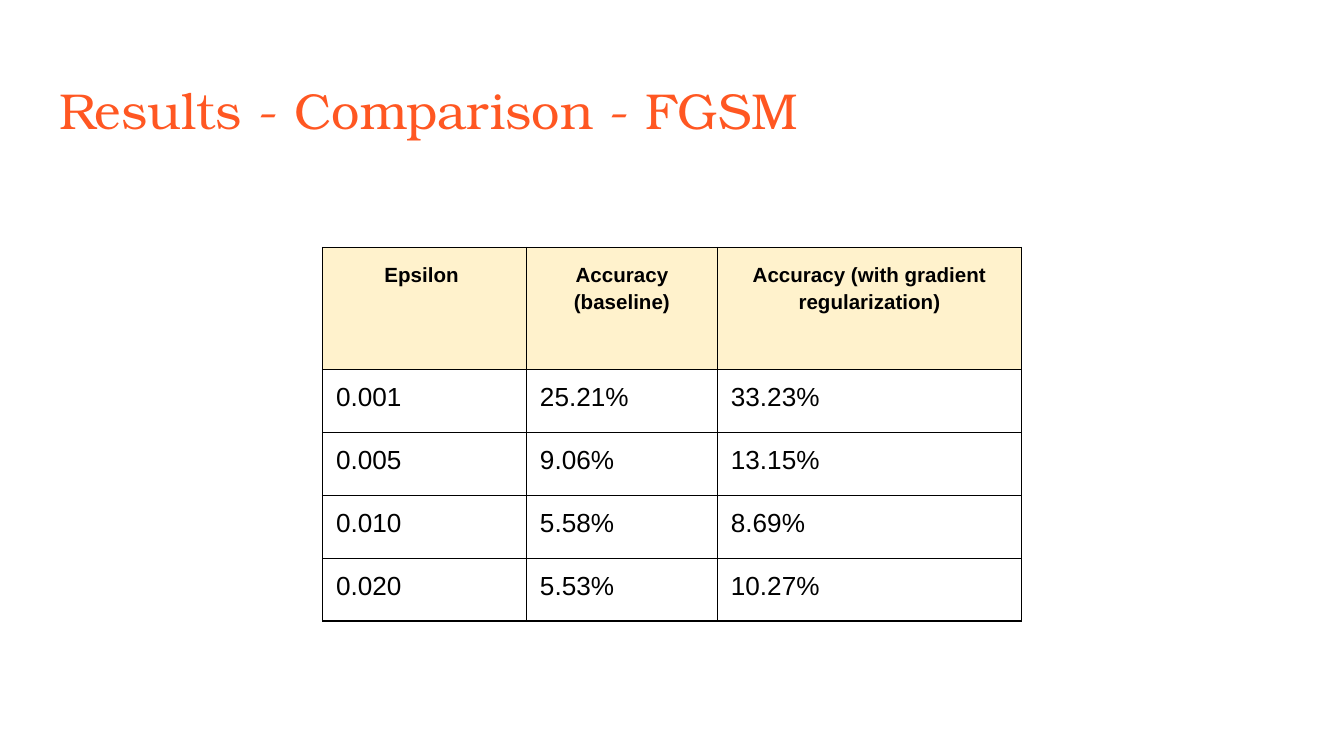
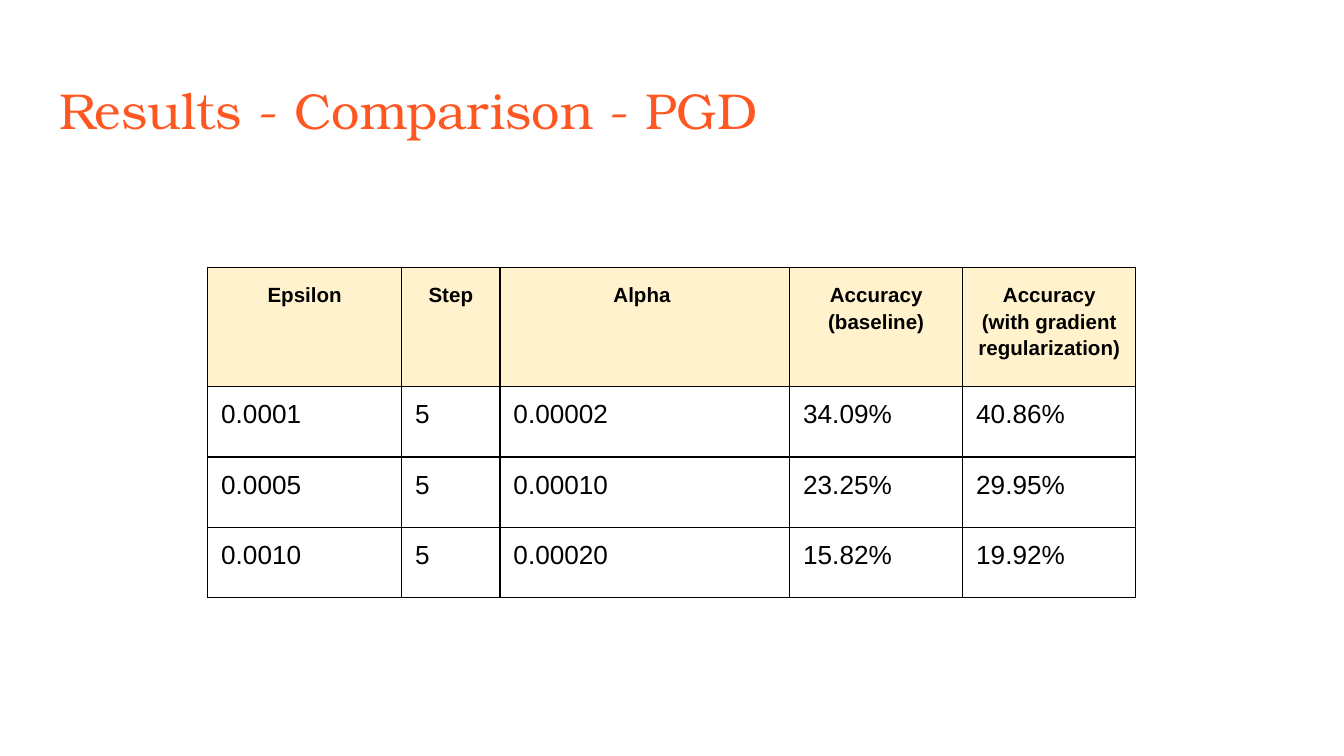
from pptx import Presentation
from pptx.dml.color import RGBColor
from pptx.enum.text import MSO_ANCHOR, MSO_AUTO_SIZE, PP_ALIGN
from pptx.oxml import parse_xml
from pptx.oxml.ns import nsdecls
from pptx.util import Pt

ORANGE, CREAM, BLACK = "FF5722", "FFF2CC", "000000"
TITLE_FONT, TABLE_FONT = "TeX Gyre Bonum", "Arial"
TITLE_BOX = (24.5, 35.4, 671, 45.2)
INSET = 7.2
BORDER = 0.75

SLIDES = [
    {
        "title": "Results - Comparison - FGSM",
        "at": (172.8, 132.6),
        "widths": (109.3, 102.3, 162.9),
        "heights": (65.2, 33.75),
        "rows": [
            ("Epsilon ", "Accuracy (baseline)", "Accuracy (with gradient regularization)"),
            ("0.001", "25.21%", "33.23%"),
            ("0.005", "9.06%", "13.15%"),
            ("0.010", "5.58%", "8.69%"),
            ("0.020", "5.53%", "10.27%"),
        ],
    },
    {
        "title": "Results - Comparison - PGD",
        "at": (111.3, 143.3),
        "widths": (103.9, 52.7, 155.2, 92.7, 92.7),
        "heights": (63.8, 37.75),
        "rows": [
            ("Epsilon", "Step", "Alpha ", "Accuracy (baseline)",
             "Accuracy (with gradient regularization)"),
            ("0.0001", "5", "0.00002", "34.09%", "40.86%"),
            ("0.0005", "5", "0.00010", "23.25%", "29.95%"),
            ("0.0010", "5", "0.00020", "15.82%", "19.92%"),
        ],
    },
]


def color(value):
    return RGBColor.from_string(value)


def set_font(p, name, size, value, bold=False):
    for r in p.runs:
        r.font.name = name
        r.font.size = Pt(size)
        r.font.bold = bold
        r.font.color.rgb = color(value)


def set_insets(box):
    box.margin_left = box.margin_right = Pt(INSET)
    box.margin_top = box.margin_bottom = Pt(INSET)


def add_title(s, text):
    title = s.shapes.title
    title.left, title.top, title.width, title.height = map(Pt, TITLE_BOX)
    tf = title.text_frame
    tf.text = text
    tf.word_wrap = True
    tf.auto_size = MSO_AUTO_SIZE.NONE
    tf.vertical_anchor = MSO_ANCHOR.TOP
    set_insets(tf)
    p = tf.paragraphs[0]
    p.alignment = PP_ALIGN.LEFT
    set_font(p, TITLE_FONT, 27, ORANGE)


def add_borders(cell):
    tc_pr = cell._tc.get_or_add_tcPr()
    for side in "LRTB":
        tc_pr.append(parse_xml(
            f'<a:ln{side} {nsdecls("a")} w="{Pt(BORDER)}"><a:solidFill>'
            f'<a:srgbClr val="{BLACK}"/></a:solidFill></a:ln{side}>'))


def fill_cell(cell, text, header):
    cell.text = text
    set_insets(cell)
    cell.vertical_anchor = MSO_ANCHOR.TOP
    add_borders(cell)
    p = cell.text_frame.paragraphs[0]
    if header:
        cell.fill.solid()
        cell.fill.fore_color.rgb = color(CREAM)
        p.alignment = PP_ALIGN.CENTER
        p.line_spacing = 1.15
    else:
        cell.fill.background()
        p.alignment = PP_ALIGN.LEFT
    set_font(p, TABLE_FONT, 11 if header else 14, BLACK, header)


def add_results(s, at, widths, heights, rows):
    header_height, row_height = heights
    row_heights = [header_height] + [row_height] * (len(rows) - 1)
    size = (sum(widths), sum(row_heights))
    table = s.shapes.add_table(len(rows), len(widths), *map(Pt, at + size)).table
    table.horz_banding = False
    for column, width in zip(table.columns, widths):
        column.width = Pt(width)
    for i, (row, height) in enumerate(zip(table.rows, row_heights)):
        row.height = Pt(height)
        for cell, text in zip(row.cells, rows[i]):
            fill_cell(cell, text, i == 0)


def main():
    prs = Presentation()
    prs.slide_width, prs.slide_height = Pt(720), Pt(405)
    for content in SLIDES:
        s = prs.slides.add_slide(prs.slide_layouts[5])
        add_title(s, content["title"])
        add_results(s, content["at"], content["widths"], content["heights"], content["rows"])
    prs.save("out.pptx")


if __name__ == "__main__":
    main()
